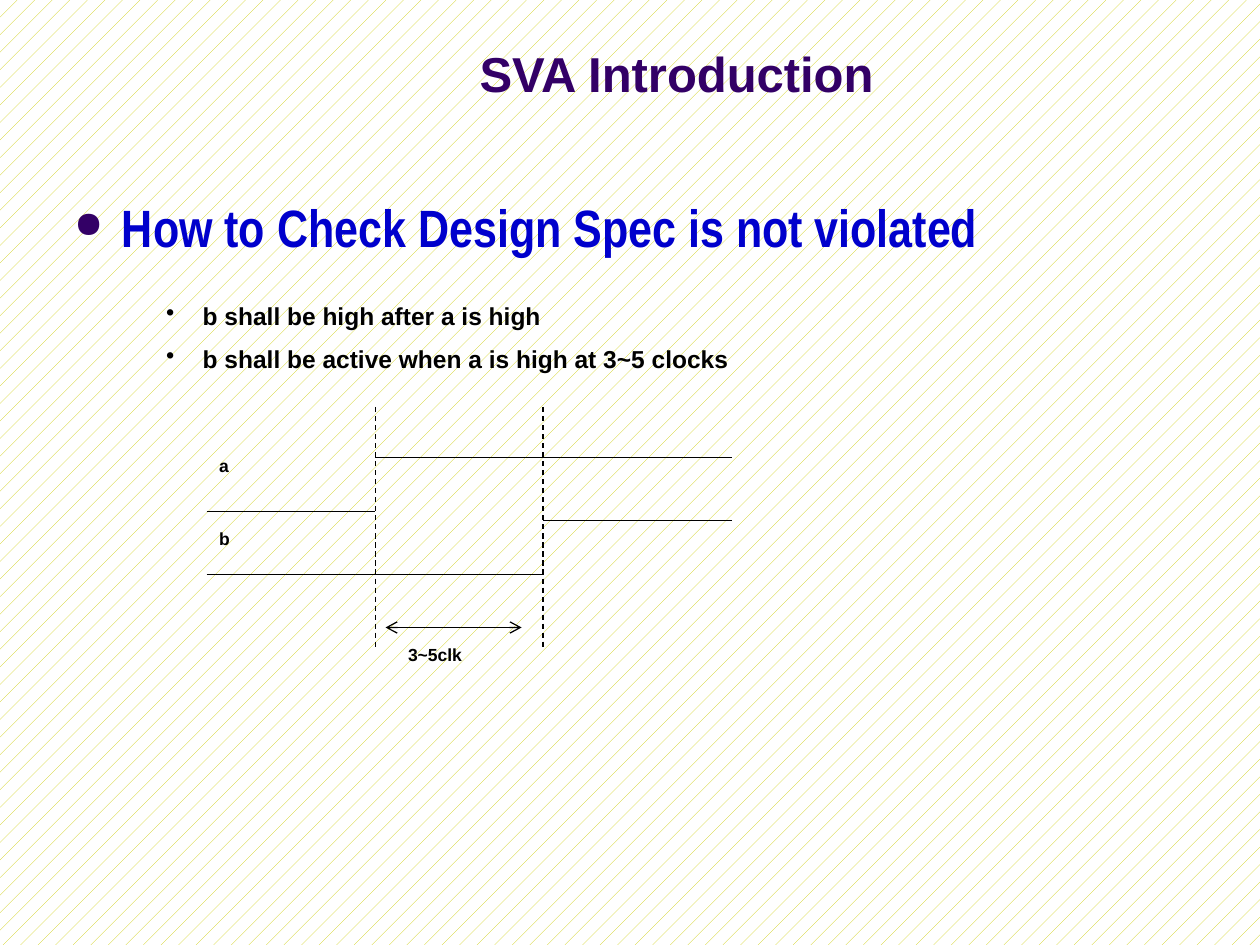
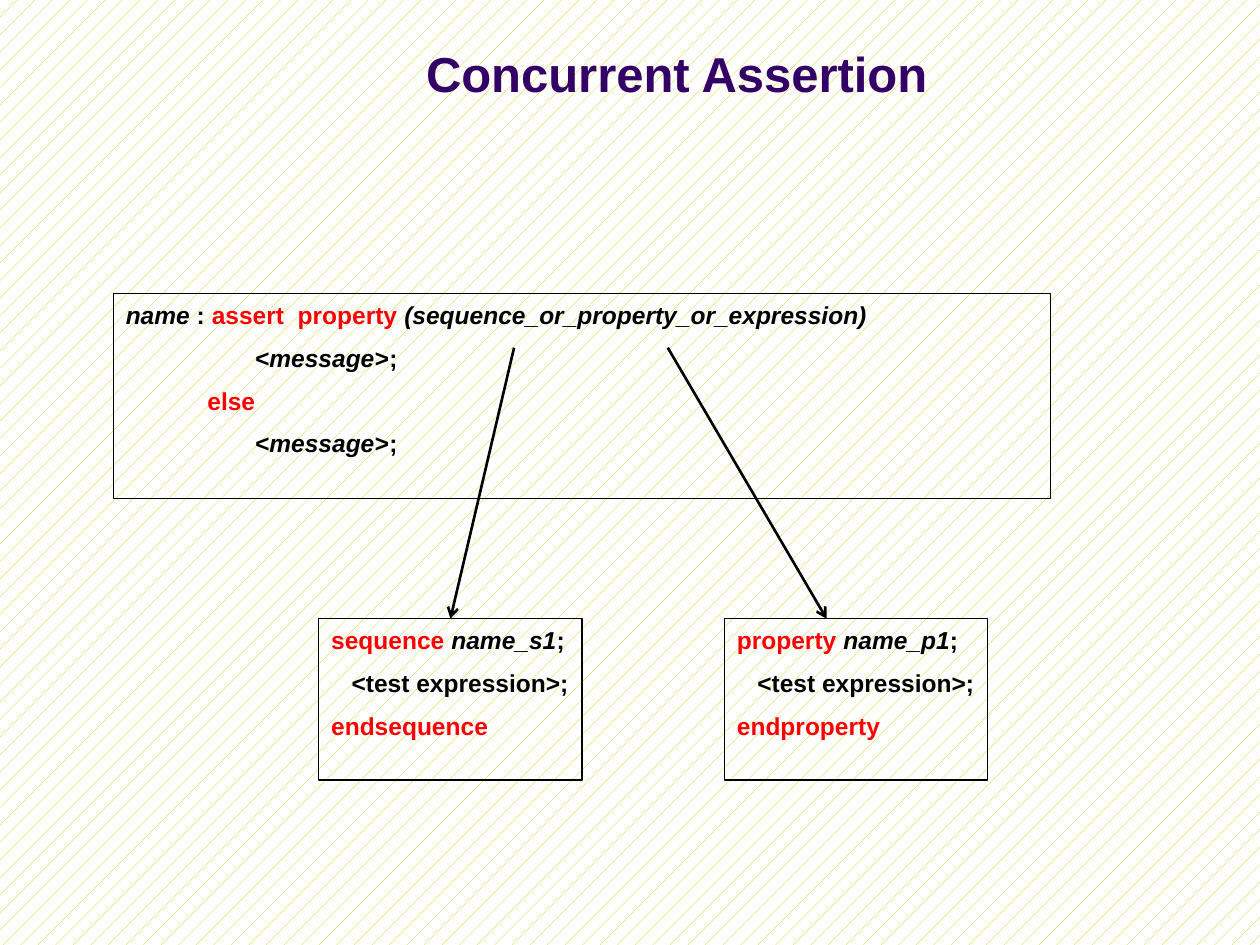
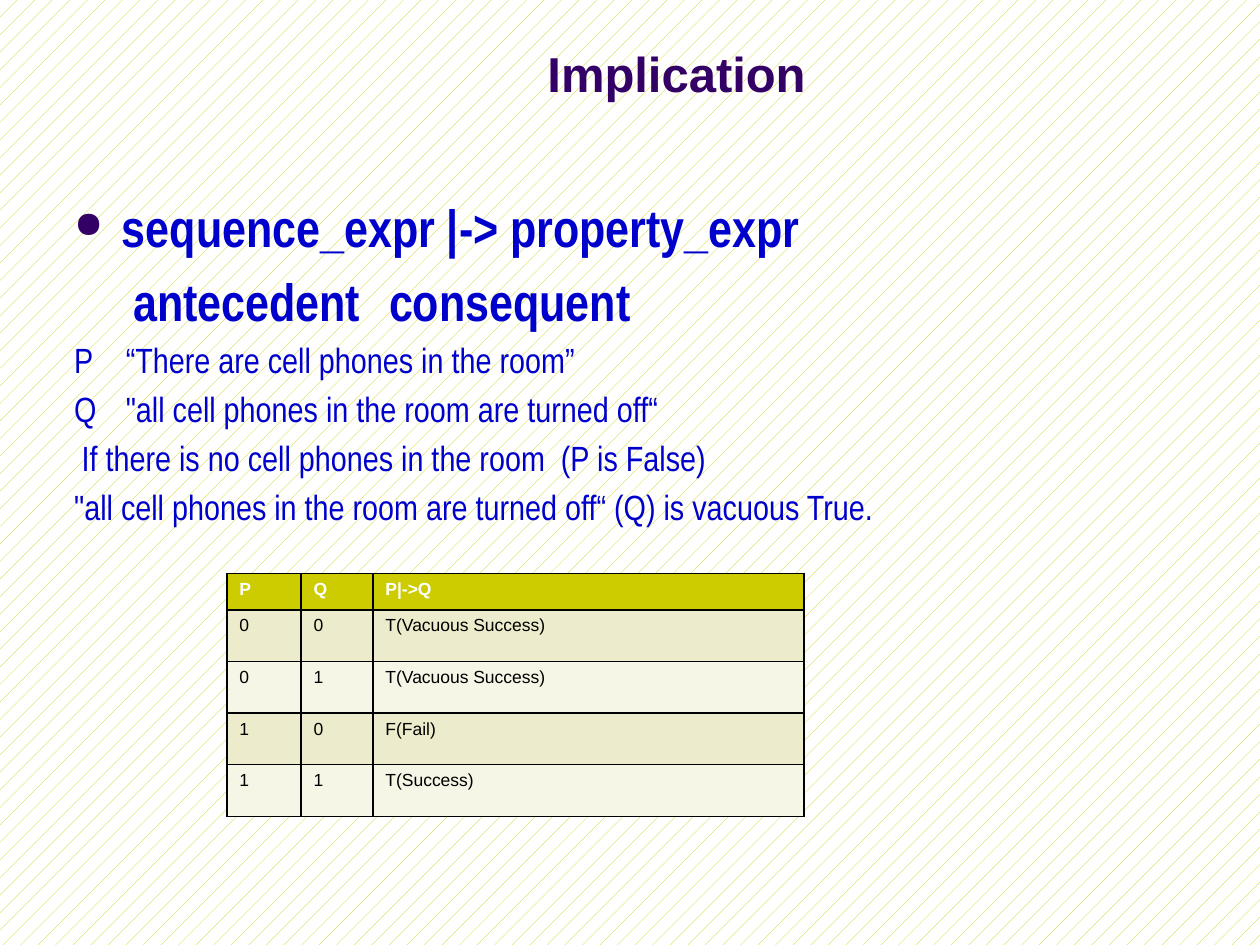
"""Build three slides on SystemVerilog assertions."""
from dataclasses import dataclass
from typing import NamedTuple

from lxml import etree
from pptx import Presentation
from pptx import util as u
from pptx.dml.color import RGBColor
from pptx.enum import dml, shapes, text
from pptx.oxml import ns


@dataclass(frozen=True)
class Theme:
    """Colours, fonts and type sizes of the deck."""
    lime: str = "CCCC00"
    white: str = "FFFFFF"
    black: str = "000000"
    plum: str = "330066"
    blue: str = "0000CC"
    red: str = "FF0000"
    bands: tuple[str, str] = ("ECECCC", "F6F6E7")
    sans: str = "Arial"
    narrow: str = "Arial Narrow"
    title: float = 28
    head: float = 30
    body: float = 20
    code: float = 14
    label: float = 10
    thin: float = 0.75
    thick: float = 1.5


T = Theme()


class Part(NamedTuple):
    """A stretch of text with its own colour and slant."""
    text: str
    color: str = T.black
    slant: bool = False


class Box(NamedTuple):
    """A place on the slide, in inches."""
    left: float
    top: float
    width: float
    height: float

    def place(self) -> tuple:
        """Return the four lengths for python-pptx."""
        return tuple(u.Inches(v) for v in self)


class Stroke(NamedTuple):
    """A straight line, in inches, with its dash and arrowheads."""
    x1: float
    y1: float
    x2: float
    y2: float
    dash: bool = False
    ends: tuple[str, ...] = ()
    width: float = T.thin


class Mark(NamedTuple):
    """A bullet sign with its colour and size in percent."""
    sign: str
    color: str
    scale: int


class Label(NamedTuple):
    """A small caption and its box."""
    text: str
    box: Box


class Block(NamedTuple):
    """A framed piece of code."""
    box: Box
    lines: tuple[tuple[Part, ...], ...]
    wrap: bool = True


def rgb(color: str) -> RGBColor:
    """Turn a hex string into a colour."""
    return RGBColor.from_string(color)


def sub(parent, tag: str, **attrs: str):
    """Append a drawing element to its parent."""
    return etree.SubElement(parent, ns.qn(tag), attrs)


def put(frame, words, *, size: float, color: str = T.black, font: str = T.sans,
        bold: bool = True, gap: float = 0, left: float = 0, first: float = 0,
        mark: Mark | None = None, tab: float = 0, align=None) -> None:
    """Add one paragraph of plain text or parts to a text frame."""
    para, fresh = frame.paragraphs[0], not frame.paragraphs[0].runs
    if not fresh:
        para = frame.add_paragraph()
        para.space_before = u.Pt(gap)
    if align is not None:
        para.alignment = align
    props = para._p.get_or_add_pPr()
    if left or first:
        props.set("marL", str(u.Inches(left)))
        props.set("indent", str(u.Inches(first)))
    if mark:
        sub(sub(props, "a:buClr"), "a:srgbClr", val=mark.color)
        sub(props, "a:buSzPct", val=str(mark.scale * 1000))
        sub(props, "a:buChar", char=mark.sign)
    if tab:
        sub(sub(props, "a:tabLst"), "a:tab", pos=str(u.Inches(tab)), algn="l")
    for part in (Part(words, color),) if isinstance(words, str) else words:
        run = para.add_run()
        run.text = part.text
        run.font.name, run.font.size = font, u.Pt(size)
        run.font.bold, run.font.italic = bold, part.slant
        run.font.color.rgb = rgb(part.color)


def add_box(slide, box: Box):
    """Add an empty wrapping text box and return its frame."""
    frame = slide.shapes.add_textbox(*box.place()).text_frame
    frame.word_wrap = True
    return frame


def add_page(deck, title: str):
    """Add a blank slide with the shared title."""
    slide = deck.slides.add_slide(deck.slide_layouts[6])
    frame = add_box(slide, Box(1.8, 0.13, 7.14, 0.89))
    frame.vertical_anchor = text.MSO_ANCHOR.MIDDLE
    put(frame, title, size=T.title, color=T.plum, align=text.PP_ALIGN.CENTER)
    return slide


def add_body(slide, head: str):
    """Add the main text box with its bulleted heading."""
    frame = add_box(slide, Box(0.49, 1.5, 9, 5.25))
    put(frame, head, size=T.head, color=T.blue, font=T.narrow,
        left=0.38, first=-0.38, mark=Mark("●", T.plum, 70))
    return frame


def add_line(slide, stroke: Stroke):
    """Draw a black line."""
    ends = (u.Inches(v) for v in stroke[:4])
    line = slide.shapes.add_connector(shapes.MSO_CONNECTOR.STRAIGHT, *ends)
    line.line.color.rgb = rgb(T.black)
    line.line.width = u.Pt(stroke.width)
    if stroke.dash:
        line.line.dash_style = dml.MSO_LINE.DASH
    for end in stroke.ends:
        sub(line.line._get_or_add_ln(), f"a:{end}", type="arrow")
    sub(line._element.spPr, "a:effectLst")
    return line


def add_block(slide, block: Block):
    """Draw a frame with lines of code."""
    shape = slide.shapes.add_shape(shapes.MSO_SHAPE.RECTANGLE, *block.box.place())
    shape.shadow.inherit = False
    shape.fill.background()
    shape.line.color.rgb = rgb(T.black)
    shape.line.width = u.Pt(T.thin)
    frame = shape.text_frame
    frame.word_wrap = block.wrap
    frame.vertical_anchor = text.MSO_ANCHOR.TOP
    for line in block.lines:
        put(frame, line, size=T.code, gap=7.7, align=text.PP_ALIGN.LEFT)
    return shape


def add_grid(slide, box: Box, cols: list[float], tall: list[float],
             rows: list[tuple[str, ...]]) -> None:
    """Draw a banded table with black borders."""
    grid = slide.shapes.add_table(len(rows), len(cols), *box.place()).table
    for col, width in zip(grid.columns, cols):
        col.width = u.Inches(width)
    for r, row in enumerate(rows):
        grid.rows[r].height = u.Inches(tall[r])
        for c, words in enumerate(row):
            cell = grid.cell(r, c)
            props = cell._tc.get_or_add_tcPr()
            for side in "LRTB":
                edge = sub(props, f"a:ln{side}", w=str(u.Pt(1)))
                sub(sub(edge, "a:solidFill"), "a:srgbClr", val=T.black)
            cell.fill.solid()
            cell.fill.fore_color.rgb = rgb(T.bands[(r - 1) % 2] if r else T.lime)
            put(cell.text_frame, words, size=T.label, bold=r == 0,
                color=T.black if r else T.white)


def intro(deck) -> None:
    """Build the slide with the timing chart."""
    slide = add_page(deck, "SVA Introduction")
    add_body(slide, "How to Check Design Spec is not violated")
    start, rise, reply, stop = 1.64, 2.98, 4.31, 5.81
    waves = [
        Stroke(start, 4.06, rise, 4.06),
        Stroke(rise, 3.63, stop, 3.63),
        Stroke(start, 4.56, reply, 4.56),
        Stroke(reply, 4.13, stop, 4.13),
        *(Stroke(x, 3.23, x, 5.14, dash=True) for x in (rise, reply)),
        Stroke(3.06, 4.98, 4.14, 4.98, ends=("headEnd", "tailEnd")),
    ]
    for wave in waves:
        add_line(slide, wave)
    labels = [
        Label("a", Box(start, 3.56, 0.33, 0.4)),
        Label("b", Box(start, 4.14, 0.33, 0.4)),
        Label("3~5clk", Box(3.14, 5.06, 1.17, 0.4)),
    ]
    for label in labels:
        put(add_box(slide, label.box), label.text, size=T.label)
    rules = add_box(slide, Box(1.22, 2.34, 5.58, 0.94))
    for rule in ("b shall be high after a is high",
                 "b shall be active when a is high at 3~5 clocks"):
        put(rules, rule, size=T.code, gap=7.7, left=0.29, first=-0.29,
            mark=Mark("•", T.black, 100))


def unit(kind: str, name: str, left: float) -> Block:
    """Describe a sequence or property declaration."""
    return Block(Box(left, 4.91, 2.09, 1.28), (
        (Part(f"{kind} ", T.red), Part(name, slant=True), Part(";")),
        (Part("   <test expression>;"),),
        (Part(f"end{kind}", T.red),),
    ), wrap=False)


def syntax(deck) -> None:
    """Build the slide with the assertion syntax."""
    slide = add_page(deck, "Concurrent Assertion")
    note = (Part(" " * 19 + "<message>", slant=True), Part(";"))
    add_block(slide, Block(Box(0.9, 2.33, 7.44, 1.63), (
        (Part("name", slant=True), Part(" : "), Part("assert  property ", T.red),
         Part("(sequence_or_property_or_expression)", slant=True)),
        note,
        (Part(" " * 12 + "else", T.red),),
        note,
    )))
    series = add_block(slide, unit("sequence", "name_s1", 2.53))
    add_block(slide, unit("property", "name_p1", 5.75))
    arrows = [
        add_line(slide, Stroke(x1, 2.76, x2, 4.91, ends=("tailEnd",), width=T.thick))
        for x1, x2 in ((4.08, 3.57), (5.3, 6.56))
    ]
    arrows[0].end_connect(series, 0)


def logic(deck) -> None:
    """Build the slide with the truth table."""
    slide = add_page(deck, "Implication")
    frame = add_body(slide, "sequence_expr |-> property_expr")
    put(frame, "antecedent\tconsequent", size=T.head, color=T.blue,
        font=T.narrow, gap=6, first=0.47, tab=3.6)
    lines = [
        ("P\t“There are cell phones in the room”", 0),
        ("Q\t\"all cell phones in the room are turned off“", 0),
        ("If there is no cell phones in the room  (P is False)", 0.06),
        ("\"all cell phones in the room are turned off“ (Q) is vacuous True.", 0),
    ]
    for words, first in lines:
        put(frame, words, size=T.body, color=T.blue, font=T.narrow, bold=False,
            gap=4, first=first, tab=0.41 if "\t" in words else 0)
    add_grid(slide, Box(1.8, 4.55, 4.58, 1.93), [0.59, 0.57, 3.42],
             [0.29] + [0.41] * 4, [
        ("P", "Q", "P|->Q"),
        ("0", "0", "T(Vacuous Success)"),
        ("0", "1", "T(Vacuous Success)"),
        ("1", "0", "F(Fail)"),
        ("1", "1", "T(Success)"),
    ])


def main() -> None:
    """Build and save the deck."""
    deck = Presentation()
    deck.slide_width, deck.slide_height = u.Inches(10), u.Inches(7.5)
    fill = deck.slide_master.background.fill
    fill.patterned()
    fill.pattern = dml.MSO_PATTERN.PERCENT_5
    fill.fore_color.rgb, fill.back_color.rgb = rgb(T.lime), rgb(T.white)
    for build in (intro, syntax, logic):
        build(deck)
    deck.save("out.pptx")


if __name__ == "__main__":
    main()
